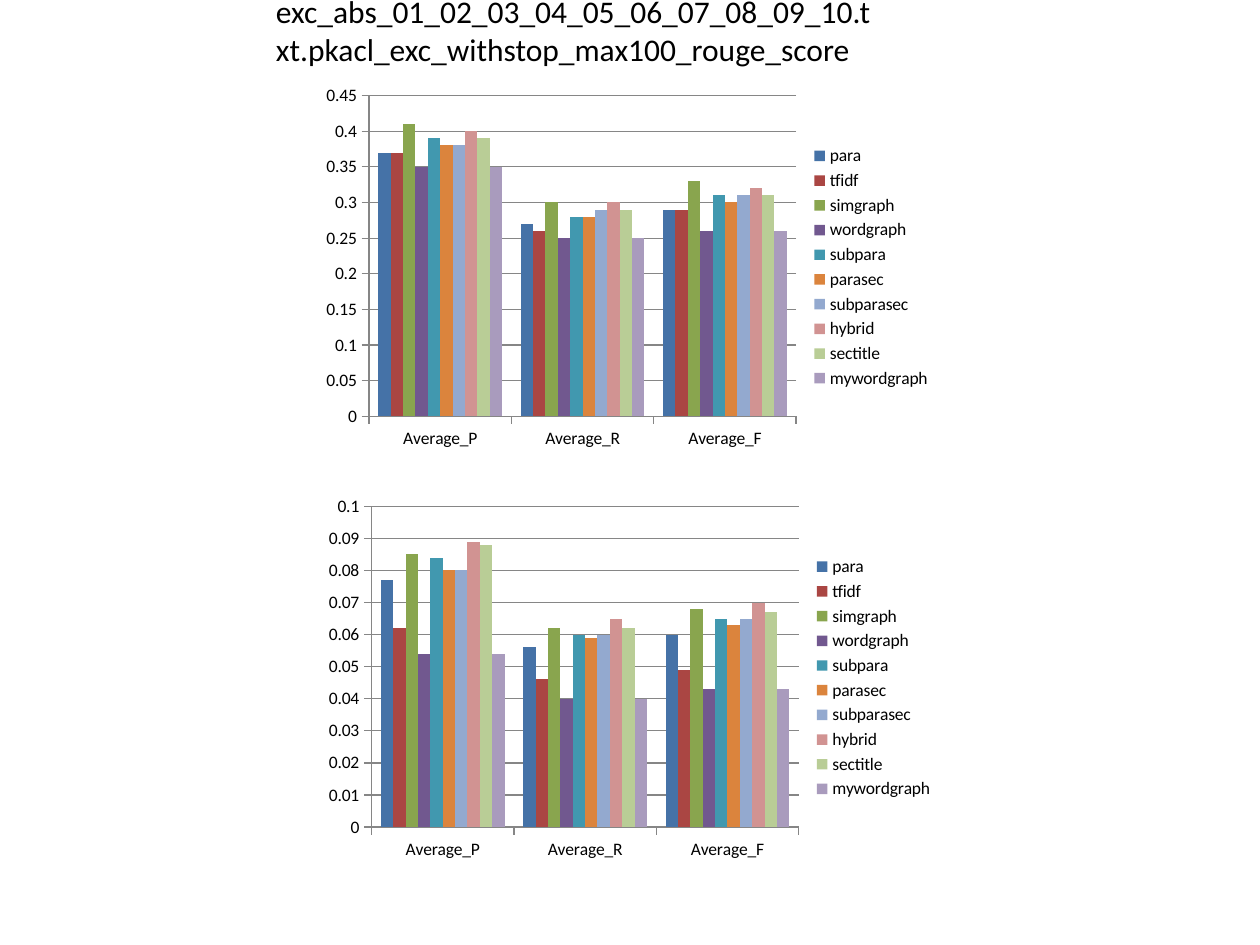
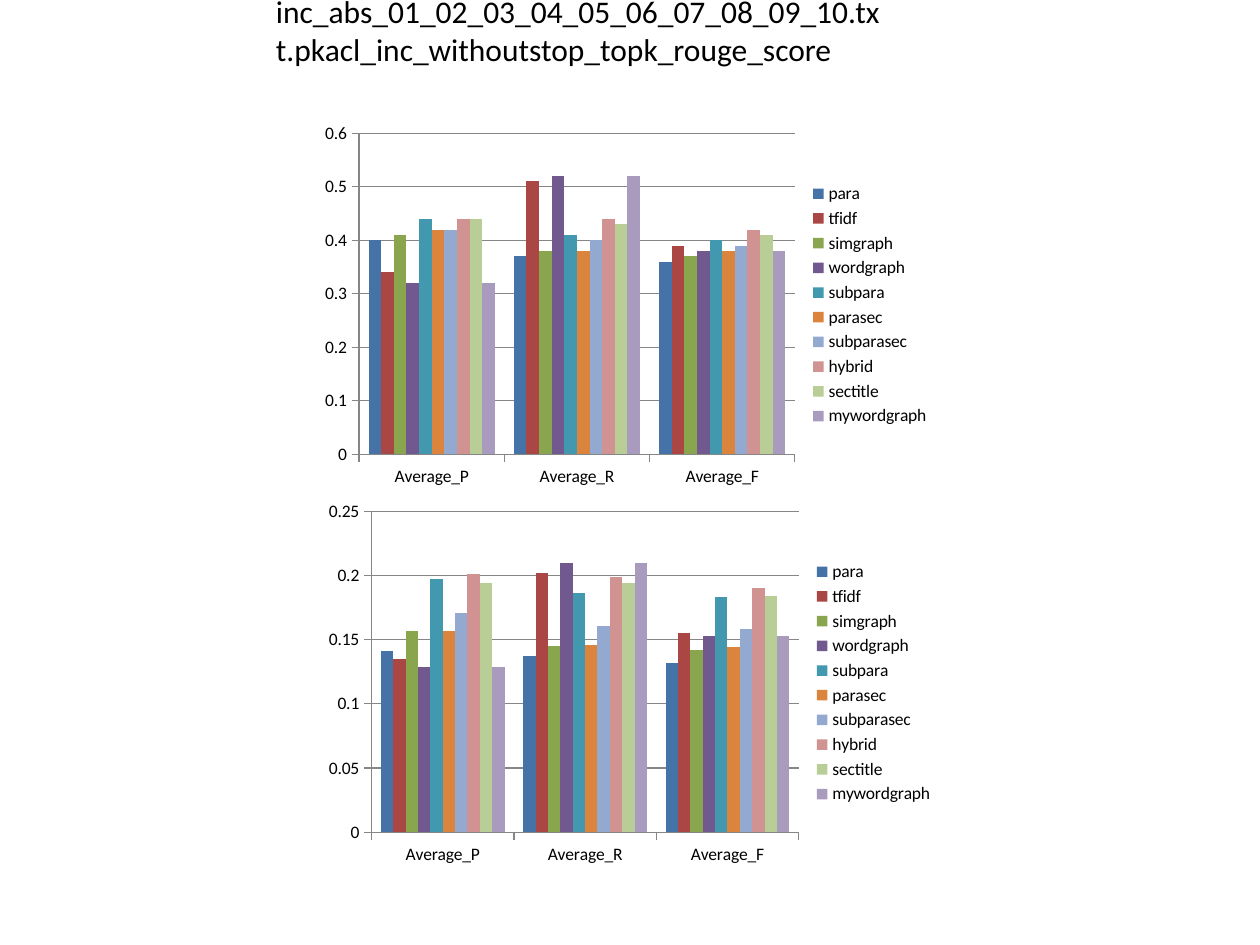
from pptx import Presentation
from pptx.chart.data import CategoryChartData
from pptx.dml.color import RGBColor
from pptx.enum.chart import XL_CHART_TYPE as CT, XL_LEGEND_POSITION as LP, XL_TICK_MARK as TM
from pptx.enum.text import MSO_ANCHOR, MSO_AUTO_SIZE, PP_ALIGN
from pptx.util import Emu, Pt

PX = 9144  # EMU per px, 100 px to the inch
FONT = "Calibri"
COLORS = {
    "text": "000000", "axis": "868686",
    "para": "4572A7", "tfidf": "AA4643", "simgraph": "89A54E",
    "wordgraph": "71588F", "subpara": "4198AF", "parasec": "DB843D",
    "subparasec": "93A9CF", "hybrid": "D19392", "sectitle": "B9CD96",
    "mywordgraph": "A99BBD",
}
METHODS = [name for name in COLORS if name not in ("text", "axis")]
MEASURES = ["Average_P", "Average_R", "Average_F"]

# Each chart: left, top, axis maximum, axis step, and one row of scores per measure
SLIDES = [
    ("exc_abs_01_02_03_04_05_06_07_08_09_10.txt.pkacl_exc_withstop_max100_rouge_score", [
        (249, 62, 0.45, 0.05, [
            [0.37, 0.37, 0.41, 0.35, 0.39, 0.38, 0.38, 0.4, 0.39, 0.35],
            [0.27, 0.26, 0.3, 0.25, 0.28, 0.28, 0.29, 0.3, 0.29, 0.25],
            [0.29, 0.29, 0.33, 0.26, 0.31, 0.3, 0.31, 0.32, 0.31, 0.26]]),
        (251, 388, 0.1, 0.01, [
            [0.077, 0.062, 0.085, 0.054, 0.084, 0.08, 0.08, 0.089, 0.088, 0.054],
            [0.056, 0.046, 0.062, 0.04, 0.06, 0.059, 0.06, 0.065, 0.062, 0.04],
            [0.06, 0.049, 0.068, 0.043, 0.065, 0.063, 0.065, 0.07, 0.067, 0.043]]),
    ]),
    ("inc_abs_01_02_03_04_05_06_07_08_09_10.txt.pkacl_inc_withoutstop_topk_rouge_score", [
        (248, 92, 0.6, 0.1, [
            [0.4, 0.34, 0.41, 0.32, 0.44, 0.42, 0.42, 0.44, 0.44, 0.32],
            [0.37, 0.51, 0.38, 0.52, 0.41, 0.38, 0.4, 0.44, 0.43, 0.52],
            [0.36, 0.39, 0.37, 0.38, 0.4, 0.38, 0.39, 0.42, 0.41, 0.38]]),
        (251, 392, 0.25, 0.05, [
            [0.141, 0.135, 0.157, 0.129, 0.197, 0.157, 0.171, 0.201, 0.194, 0.129],
            [0.137, 0.202, 0.145, 0.21, 0.186, 0.146, 0.161, 0.199, 0.194, 0.21],
            [0.132, 0.155, 0.142, 0.153, 0.183, 0.144, 0.158, 0.19, 0.184, 0.153]]),
    ]),
]


def set_all(obj, **values):
    for name, value in values.items():
        setattr(obj, name, value)


def color(name):
    return RGBColor.from_string(COLORS[name])


class Deck:
    def __init__(self):
        self.prs = Presentation()
        set_all(self.prs, slide_width=Emu(1000 * PX), slide_height=Emu(750 * PX))

    def add_slide(self):
        self.s = self.prs.slides.add_slide(self.prs.slide_layouts.get_by_name("Title Only"))

    def style_font(self, font, size):
        set_all(font, name=FONT, size=Pt(size), bold=False)
        font.color.rgb = color("text")

    def style_line(self, line):
        line.color.rgb = color("axis")
        line.width = Pt(0.75)

    def title(self, text):
        sp = self.s.shapes.title
        set_all(sp, left=Emu(209 * PX), top=Emu(-11 * PX),
                width=Emu(500 * PX), height=Emu(71 * PX))
        tf = sp.text_frame
        set_all(tf, text=text, word_wrap=True, vertical_anchor=MSO_ANCHOR.TOP,
                auto_size=MSO_AUTO_SIZE.SHAPE_TO_FIT_TEXT)
        p = tf.paragraphs[0]
        p.alignment = PP_ALIGN.LEFT
        self.style_font(p.runs[0].font, 18)

    def score_chart(self, left, top, maximum, step, rows):
        data = CategoryChartData()
        data.categories = MEASURES
        for method, scores in zip(METHODS, zip(*rows)):
            data.add_series(method, scores)
        box = [Emu(n * PX) for n in (left, top, 500, 300)]
        chart = self.s.shapes.add_chart(CT.COLUMN_CLUSTERED, *box, data).chart
        set_all(chart, has_title=False, has_legend=True)
        set_all(chart.legend, position=LP.RIGHT, include_in_layout=False)
        self.style_font(chart.font, 10)

        plot = chart.plots[0]
        set_all(plot, gap_width=150, overlap=0, vary_by_categories=False)
        for series in plot.series:
            series.format.fill.solid()
            series.format.fill.fore_color.rgb = color(series.name)

        for axis in (chart.category_axis, chart.value_axis):
            set_all(axis, major_tick_mark=TM.OUTSIDE, minor_tick_mark=TM.NONE)
            self.style_line(axis.format.line)
        axis = chart.value_axis
        set_all(axis, minimum_scale=0, maximum_scale=maximum, major_unit=step,
                has_major_gridlines=True)
        set_all(axis.tick_labels, number_format="General", number_format_is_linked=False)
        self.style_line(axis.major_gridlines.format.line)


def main():
    deck = Deck()
    for title, charts in SLIDES:
        deck.add_slide()
        deck.title(title)
        for chart in charts:
            deck.score_chart(*chart)
    deck.prs.save("out.pptx")


if __name__ == "__main__":
    main()
